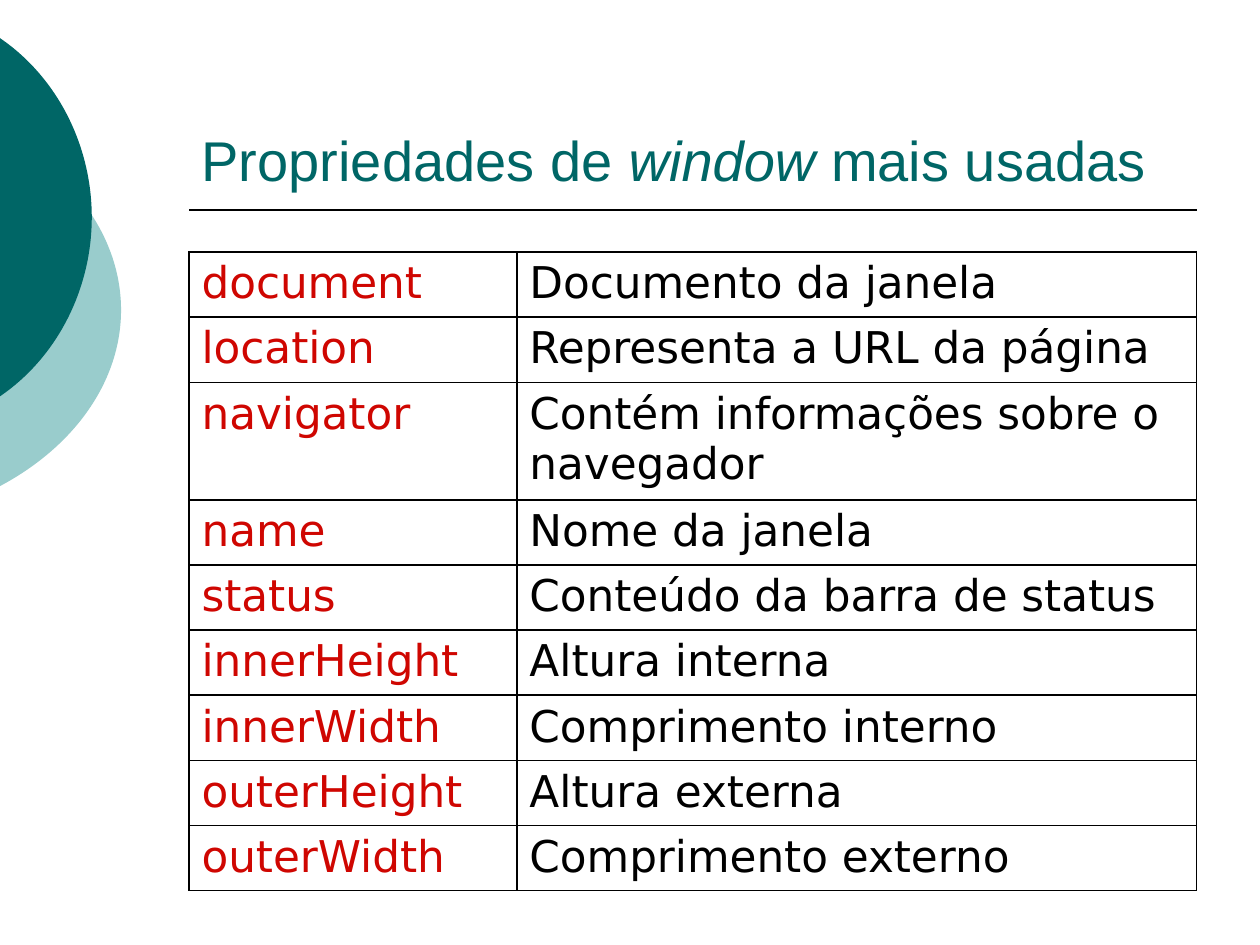
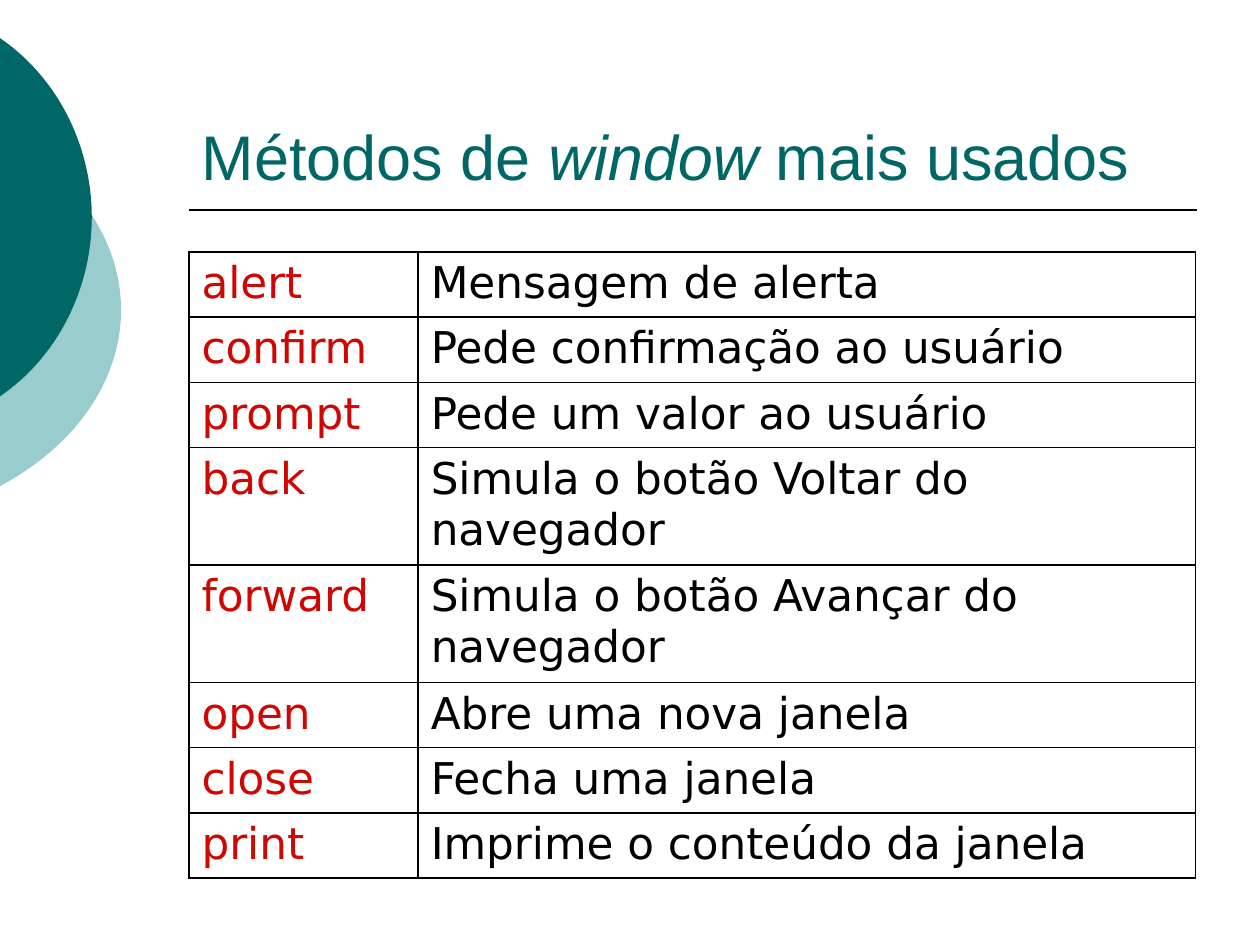
from lxml import etree
from pptx import Presentation
from pptx.dml.color import RGBColor
from pptx.enum.shapes import MSO_CONNECTOR
from pptx.enum.text import MSO_ANCHOR, MSO_AUTO_SIZE, PP_ALIGN
from pptx.oxml.ns import qn
from pptx.util import Cm, Pt

STRAIGHT = MSO_CONNECTOR.STRAIGHT
BOTTOM = MSO_ANCHOR.BOTTOM
NO_AUTOFIT = MSO_AUTO_SIZE.NONE
LEFT = PP_ALIGN.LEFT

TEAL = RGBColor(0x00, 0x66, 0x66)
PALE_TEAL = RGBColor(0x99, 0xCC, 0xCC)
RED = RGBColor(0xCF, 0x06, 0x01)
BLACK = RGBColor(0x00, 0x00, 0x00)

TITLE_FONT = "Arial"
TABLE_FONT = "DejaVu Sans"
TITLE_ONLY = 5
MARGIN = Cm(3.81)
CONTENT_WIDTH = Cm(20.32)
TABLE_TOP = Cm(5.08)
DOUBLE_ROW = Cm(2.37)

PROPERTIES = [
    ("document", "Documento da janela"),
    ("location", "Representa a URL da página"),
    ("navigator", "Contém informações sobre o navegador"),
    ("name", "Nome da janela"),
    ("status", "Conteúdo da barra de status"),
    ("innerHeight", "Altura interna"),
    ("innerWidth", "Comprimento interno"),
    ("outerHeight", "Altura externa"),
    ("outerWidth", "Comprimento externo"),
]
METHODS = [
    ("alert", "Mensagem de alerta"),
    ("confirm", "Pede confirmação ao usuário"),
    ("prompt", "Pede um valor ao usuário"),
    ("back", "Simula o botão Voltar do navegador"),
    ("forward", "Simula o botão Avançar do navegador"),
    ("open", "Abre uma nova janela"),
    ("close", "Fecha uma janela"),
    ("print", "Imprime o conteúdo da janela"),
]


def add_span(para, text, *, font, size, color, italic=False):
    """Append formatted text to a paragraph."""
    span = para.add_run()
    span.text = text
    span.font.name = font
    span.font.size = Pt(size)
    span.font.color.rgb = color
    span.font.italic = italic


def add_segment(outline, kind, points, left, top):
    """Append one drawing step, measured from the frame's corner."""
    segment = etree.SubElement(outline, qn(f"a:{kind}"))
    for x, y in points:
        etree.SubElement(
            segment, qn("a:pt"), x=str(Cm(x) - Cm(left)), y=str(Cm(y) - Cm(top))
        )


def add_side_arc(page, frame, upper, color):
    """Draw a disc cut by the left edge from its upper curve and the mirrored one."""
    left, top, width, height = frame
    middle = upper[-1][1]
    lower = [(x, 2 * middle - y) for x, y in reversed(upper[:-1])]
    builder = page.shapes.build_freeform(0, 0)
    builder.add_line_segments([(Cm(width), 0), (Cm(width), Cm(height))], close=True)
    arc = builder.convert_to_shape()
    arc.left, arc.top, arc.width, arc.height = map(Cm, frame)
    outline = next(arc._element.iter(qn("a:path")))
    for segment in list(outline):
        outline.remove(segment)
    outline.set("w", str(Cm(width)))
    outline.set("h", str(Cm(height)))
    add_segment(outline, "moveTo", upper[:1], left, top)
    add_segment(outline, "cubicBezTo", upper[1:], left, top)
    add_segment(outline, "cubicBezTo", lower, left, top)
    etree.SubElement(outline, qn("a:close"))
    arc.shadow.inherit = False
    arc.fill.solid()
    arc.fill.fore_color.rgb = color
    arc.line.fill.background()
    return arc


def add_rule(page):
    """Draw the line under the title."""
    y = Cm(4.23)
    rule = page.shapes.add_connector(STRAIGHT, MARGIN, y, MARGIN + CONTENT_WIDTH, y)
    rule.line.color.rgb = BLACK
    rule.line.width = Pt(1)
    etree.SubElement(rule._element.spPr, qn("a:effectLst"))
    return rule


def decorate_layout(page):
    """Draw the discs and the rule once, and hand them to the page's layout."""
    pale_curve = [(0, 2.7), (1.52, 3.51), (2.44, 4.83), (2.44, 6.25)]
    dark_curve = [(0, 0.77), (1.17, 1.57), (1.85, 2.95), (1.85, 4.38)]
    decoration = [
        add_side_arc(page, (-8.99, 1.91, 11.43, 8.69), pale_curve, PALE_TEAL),
        add_side_arc(page, (-6.73, 0, 8.58, 8.76), dark_curve, TEAL),
        add_rule(page),
    ]
    for shape in decoration:
        page.slide_layout.shapes._spTree.append(shape._element)


def fill_title(page, before, after, *, size):
    """Write the title around the italic object name."""
    title = page.shapes.title
    title.left, title.top = MARGIN, Cm(0.84)
    title.width, title.height = CONTENT_WIDTH, Cm(3.18)
    frame = title.text_frame
    frame.auto_size = NO_AUTOFIT
    frame.vertical_anchor = BOTTOM
    para = frame.paragraphs[0]
    para.alignment = LEFT
    for text, italic in ((before, False), ("window", True), (after, False)):
        add_span(para, text, font=TITLE_FONT, size=size, color=TEAL, italic=italic)


def format_cell(cell, text, color):
    """Fill in one table cell and give it a thin black border."""
    add_span(cell.text_frame.paragraphs[0], text, font=TABLE_FONT, size=25, color=color)
    properties = cell._tc.get_or_add_tcPr()
    for side in ("lnL", "lnR", "lnT", "lnB"):
        border = etree.SubElement(properties, qn(f"a:{side}"), w=str(Pt(1)))
        fill = etree.SubElement(border, qn("a:solidFill"))
        etree.SubElement(fill, qn("a:srgbClr"), val=str(BLACK))
    cell.fill.background()


def add_reference_table(page, entries, *, widths, height, tall_rows):
    """Add a table of red names and their black descriptions."""
    single_count = len(entries) - len(tall_rows)
    single_row = (Cm(height) - len(tall_rows) * DOUBLE_ROW) // single_count
    table = page.shapes.add_table(
        len(entries), 2, MARGIN, TABLE_TOP, Cm(sum(widths)), Cm(height)
    ).table
    table.first_row = False
    table.horz_banding = False
    for column, width in zip(table.columns, widths):
        column.width = Cm(width)
    for row, entry in zip(table.rows, entries):
        row.height = DOUBLE_ROW if entry[0] in tall_rows else single_row
        for cell, text, color in zip(row.cells, entry, (RED, BLACK)):
            format_cell(cell, text, color)


def add_page(deck, before, after, *, size):
    """Add a slide with its title."""
    page = deck.slides.add_slide(deck.slide_layouts[TITLE_ONLY])
    fill_title(page, before, after, size=size)
    return page


def main():
    """Build and save the two reference slides."""
    deck = Presentation()
    deck.slide_width, deck.slide_height = Cm(25.4), Cm(19.05)
    page = add_page(deck, "Propriedades de ", " mais usadas", size=32)
    decorate_layout(page)
    add_reference_table(
        page, PROPERTIES, widths=(6.61, 13.7), height=12.88, tall_rows={"navigator"}
    )
    page = add_page(deck, "Métodos de ", " mais usados", size=36)
    add_reference_table(
        page, METHODS, widths=(4.62, 15.67), height=12.62, tall_rows={"back", "forward"}
    )
    deck.save("out.pptx")


if __name__ == "__main__":
    main()
